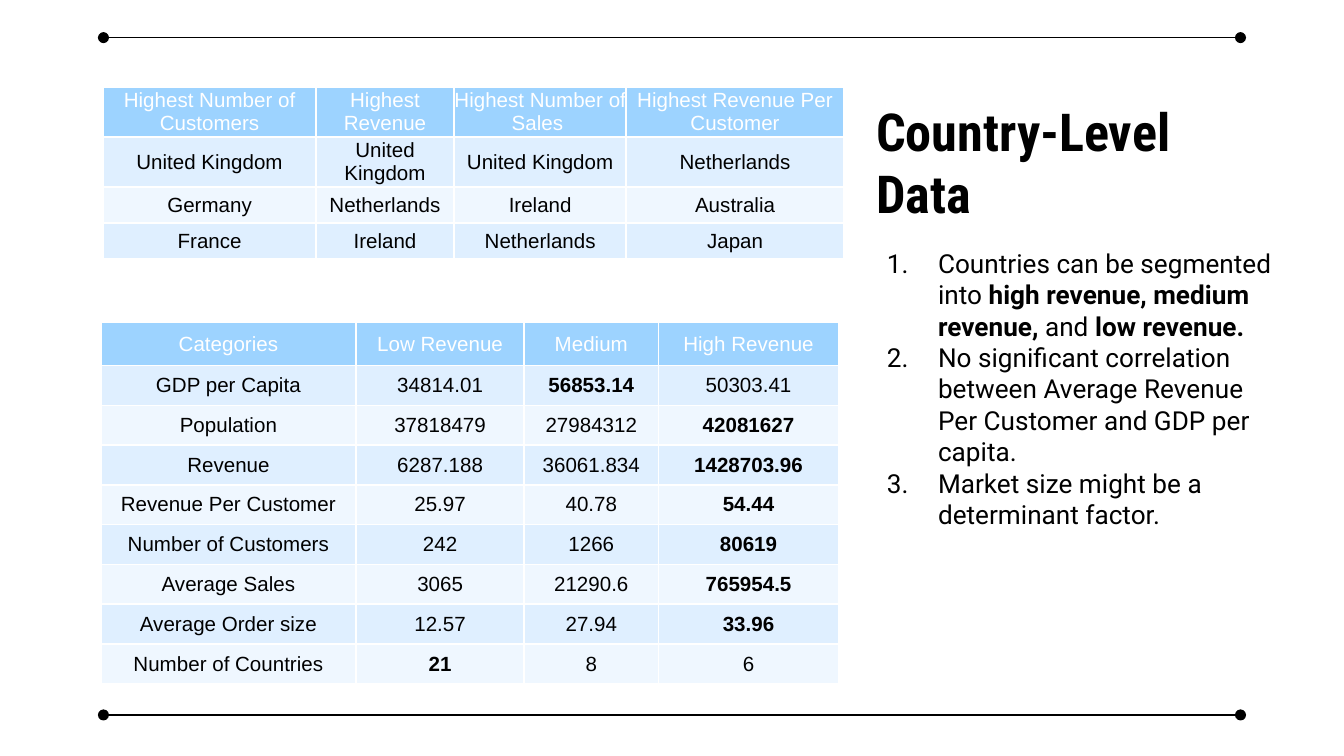
from dataclasses import dataclass

import lxml.etree
import pptx
import pptx.dml.color
import pptx.enum.shapes
import pptx.enum.text
import pptx.oxml.ns
import pptx.util

Inches = pptx.util.Inches
Pt = pptx.util.Pt
qn = pptx.oxml.ns.qn
Anchor = pptx.enum.text.MSO_ANCHOR

BLACK, WHITE = "000000", "FFFFFF"
HEADER, BAND_DARK, BAND_LIGHT = "9DD3FF", "DFEFFF", "EFF7FF"


@dataclass
class TableSpec:
    left: float
    top: float
    cols: list[float]
    rows: list[float]
    data: list[list[str]]
    bold: set[tuple[int, int]]


@dataclass
class Run:
    text: str
    bold: bool = False


COUNTRIES = TableSpec(
    0.77, 0.65, [1.58, 1.03, 1.28, 1.62], [0.37, 0.37, 0.27, 0.27],
    [
        ["Highest Number of Customers", "Highest Revenue",
         "Highest Number of Sales ", "Highest Revenue Per Customer"],
        ["United Kingdom", "United Kingdom", "United Kingdom", "Netherlands"],
        ["Germany", "Netherlands", "Ireland", "Australia"],
        ["France", "Ireland", "Netherlands", "Japan"],
    ],
    set(),
)
SEGMENTS = TableSpec(
    0.75, 2.4, [1.9, 1.25, 1, 1.34], [0.32] + [(2.69 - 0.32) / 8] * 8,
    [
        ["Categories", "Low Revenue", "Medium", "High Revenue"],
        ["GDP per Capita", "34814.01", "56853.14", "50303.41"],
        ["Population", "37818479", "27984312", "42081627"],
        ["Revenue", "6287.188", "36061.834", "1428703.96"],
        ["Revenue Per Customer", "25.97", "40.78", "54.44"],
        ["Number of Customers", "242", "1266", "80619"],
        ["Average Sales", "3065", "21290.6", "765954.5"],
        ["Average Order size", "12.57", "27.94", "33.96"],
        ["Number of Countries", "21", "8", "6"],
    ],
    {(1, 2), (8, 1)} | {(row, 3) for row in range(2, 8)},
)
FINDINGS = [
    [Run("Countries can be segmented into "),
     Run("high revenue, medium revenue, ", True),
     Run("and "), Run("low revenue. ", True)],
    [Run("No significant correlation between Average Revenue Per Customer "
         "and GDP per capita.")],
    [Run("Market size might be a determinant factor. ")],
]


def rgb(color: str) -> pptx.dml.color.RGBColor:
    return pptx.dml.color.RGBColor.from_string(color)


def style_run(r, font: str, size: float, color: str, bold: bool) -> None:
    r.font.name = font
    r.font.size = Pt(size)
    r.font.bold = bold
    r.font.color.rgb = rgb(color)


def add_borders(cell, color: str, width: float) -> None:
    tc_pr = cell._tc.get_or_add_tcPr()
    for side in ("a:lnL", "a:lnR", "a:lnT", "a:lnB"):
        ln = lxml.etree.SubElement(tc_pr, qn(side), w=str(Pt(width)))
        fill = lxml.etree.SubElement(ln, qn("a:solidFill"))
        lxml.etree.SubElement(fill, qn("a:srgbClr"), val=color)


def add_table(s, spec: TableSpec) -> None:
    table = s.shapes.add_table(
        len(spec.rows), len(spec.cols), Inches(spec.left), Inches(spec.top),
        Inches(sum(spec.cols)), Inches(sum(spec.rows))).table
    for column, width in zip(table.columns, spec.cols):
        column.width = Inches(width)
    for row, height in zip(table.rows, spec.rows):
        row.height = Inches(height)
    for i, values in enumerate(spec.data):
        band = HEADER if i == 0 else BAND_DARK if i % 2 else BAND_LIGHT
        for j, value in enumerate(values):
            cell = table.cell(i, j)
            cell.margin_left = cell.margin_right = 0
            cell.margin_top = cell.margin_bottom = 0
            cell.vertical_anchor = Anchor.MIDDLE
            add_borders(cell, WHITE, 1)
            cell.fill.solid()
            cell.fill.fore_color.rgb = rgb(band)
            cell.text_frame.text = value
            p = cell.text_frame.paragraphs[0]
            p.alignment = pptx.enum.text.PP_ALIGN.CENTER
            style_run(p.runs[0], "Arial", 11, BLACK if i else WHITE,
                      (i, j) in spec.bold)


def add_text_box(s, top: float, height: float, side_inset: float, anchor):
    tf = s.shapes.add_textbox(
        Inches(6.45), Inches(top), Inches(3.03), Inches(height)).text_frame
    tf.word_wrap = True
    tf.vertical_anchor = anchor
    tf.margin_left = tf.margin_right = Inches(side_inset)
    tf.margin_top = tf.margin_bottom = Inches(0.04)
    return tf


def add_number(p) -> None:
    p_pr = p._p.get_or_add_pPr()
    p_pr.set("marL", str(Inches(0.53)))
    p_pr.set("indent", str(Inches(-0.38)))
    color = lxml.etree.SubElement(p_pr, qn("a:buClr"))
    lxml.etree.SubElement(color, qn("a:srgbClr"), val=BLACK)
    lxml.etree.SubElement(p_pr, qn("a:buFont"), typeface="Roboto")
    lxml.etree.SubElement(p_pr, qn("a:buAutoNum"), type="arabicPeriod")


def add_title(s, text: str) -> None:
    tf = add_text_box(s, 0.52, 1.19, 0.07, Anchor.BOTTOM)
    tf.text = text
    style_run(tf.paragraphs[0].runs[0], "Roboto Condensed", 28, BLACK, True)


def add_findings(s, findings: list[list[Run]]) -> None:
    tf = add_text_box(s, 1.8, 3.01, 0, Anchor.TOP)
    for i, runs in enumerate(findings):
        p = tf.add_paragraph() if i else tf.paragraphs[0]
        add_number(p)
        for run in runs:
            r = p.add_run()
            r.text = run.text
            style_run(r, "Roboto", 14, BLACK, run.bold)


def add_rule(s, y: float) -> None:
    sp = s.shapes.add_connector(
        pptx.enum.shapes.MSO_CONNECTOR.STRAIGHT,
        Inches(0.77), Inches(y), Inches(9.23), Inches(y))
    sp.line.color.rgb = rgb(BLACK)
    sp.line.width = Pt(0.75)
    ln = sp.line._get_or_add_ln()
    for end in ("a:headEnd", "a:tailEnd"):
        lxml.etree.SubElement(ln, qn(end), type="oval", w="med", len="med")
    lxml.etree.SubElement(sp._element.spPr, qn("a:effectLst"))


def main() -> None:
    prs = pptx.Presentation()
    prs.slide_width = Inches(10)
    prs.slide_height = Inches(10 * 9 / 16)
    s = prs.slides.add_slide(prs.slide_layouts[6])
    add_title(s, "Country-Level Data")
    add_findings(s, FINDINGS)
    for spec in (COUNTRIES, SEGMENTS):
        add_table(s, spec)
    for y in (0.28, 5.32):
        add_rule(s, y)
    prs.save("out.pptx")


if __name__ == "__main__":
    main()
